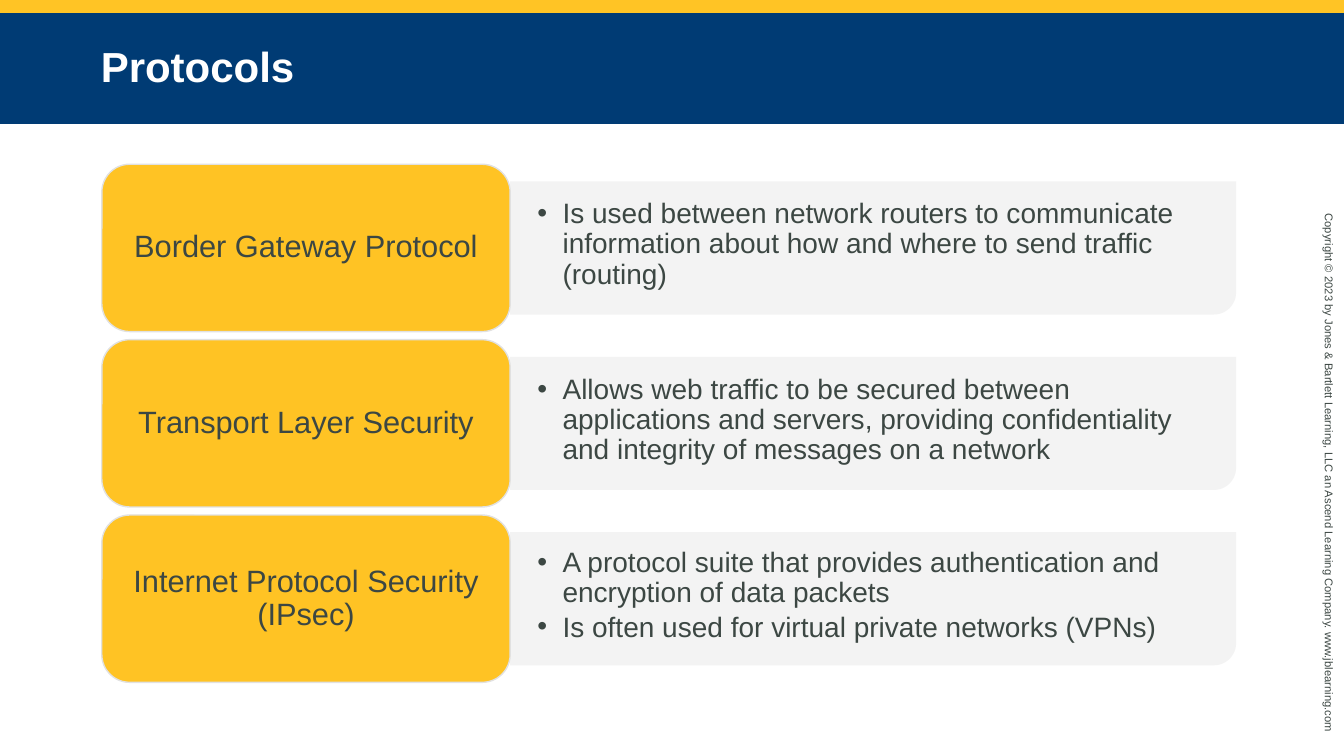
from lxml import etree
from pptx import Presentation
from pptx.dml.color import RGBColor
from pptx.enum.shapes import MSO_SHAPE
from pptx.enum.text import MSO_ANCHOR, PP_ALIGN
from pptx.oxml.ns import qn
from pptx.util import Pt

PX = 9144  # EMU per px, 100 px to the inch
RECT = MSO_SHAPE.RECTANGLE
ROUNDED = MSO_SHAPE.ROUNDED_RECTANGLE
ONE_ROUND = MSO_SHAPE.ROUND_1_RECTANGLE
MIDDLE, TOP = MSO_ANCHOR.MIDDLE, MSO_ANCHOR.TOP
LEFT, CENTER = PP_ALIGN.LEFT, PP_ALIGN.CENTER

GOLD, AMBER, NAVY = "FFC425", "FFC324", "003B74"
PANEL, EDGE, INK, WHITE = "F2F2F2", "E1E1E1", "3C4743", "FFFFFF"

FIRST_ROW, ROW_PITCH = 163, 174
PROTOCOLS = [
    ("Border Gateway Protocol",
     ["Is used between network routers to communicate information about "
      "how and where to send traffic (routing)"]),
    ("Transport Layer Security",
     ["Allows web traffic to be secured between applications and servers, "
      "providing confidentiality and integrity of messages on a network"]),
    ("Internet Protocol Security (IPsec)",
     ["A protocol suite that provides authentication and encryption of "
      "data packets",
      "Is often used for virtual private networks (VPNs)"]),
]


def px(n):
    return round(n * PX)


def rgb(color):
    return RGBColor.from_string(color)


def add_box(slide, kind, box, fill, line=None):
    sp = slide.shapes.add_shape(kind, *map(px, box))
    sp.shadow.inherit = False
    sp.fill.solid()
    sp.fill.fore_color.rgb = rgb(fill)
    if line:
        sp.line.color.rgb = rgb(line)
        sp.line.width = Pt(1)
    else:
        sp.line.fill.background()
    return sp


def add_bullet(p, indent):
    pPr = p._p.get_or_add_pPr()
    pPr.set("marL", str(px(indent)))
    pPr.set("indent", str(-px(indent)))
    etree.SubElement(pPr, qn("a:buFont"), typeface="Arial")
    etree.SubElement(pPr, qn("a:buChar"), char="•")


def write(sp, lines, size, color, insets=(10, 5), anchor=MIDDLE, align=LEFT,
          spacing=1.0, bold=False, bullets=False):
    """Fill a shape with paragraphs; insets are (horizontal, vertical)."""
    tf = sp.text_frame
    tf.word_wrap = True
    tf.vertical_anchor = anchor
    tf.margin_left = tf.margin_right = px(insets[0])
    tf.margin_top = tf.margin_bottom = px(insets[1])
    tf.text = "\n".join(lines)
    for p in tf.paragraphs:
        if bullets:
            add_bullet(p, 25)
            p.space_after = Pt(3)
        p.alignment = align
        p.line_spacing = spacing
        for r in p.runs:
            r.font.name = "Arial"
            r.font.size = Pt(size)
            r.font.bold = bold
            r.font.color.rgb = rgb(color)


def add_panel(slide, left, top, width, height):
    """Translucent panel, turned so that its bottom right corner is round."""
    shift = (width - height) // 2
    sp = add_box(slide, ONE_ROUND,
                 (left + shift, top - shift, height, width), PANEL)
    sp.rotation = 90
    color = sp._element.spPr.find(qn("a:solidFill"))[0]
    etree.SubElement(color, qn("a:alpha"), val="90000")


def add_protocol(slide, top, name, points):
    add_panel(slide, 506, top + 17, 720, 132)
    body = slide.shapes.add_textbox(*map(px, (506, top + 17, 720, 126)))
    write(body, points, 20, INK, (27, 14), spacing=0.9, bullets=True)
    label = add_box(slide, ROUNDED, (101, top, 405, 166), AMBER, EDGE)
    write(label, [name], 22, INK, (17, 13), align=CENTER, spacing=0.9)


def add_copyright(slide):
    sp = slide.shapes.add_textbox(*map(px, (1044, 464, 548, 24)))
    sp.rotation = 90
    write(sp, ["Copyright © 2023 by Jones & Bartlett Learning, LLC an Ascend "
               "Learning Company. www.jblearning.com"], 8, INK, anchor=TOP)


def main():
    prs = Presentation()
    prs.slide_width, prs.slide_height = px(1333), px(750)
    slide = prs.slides.add_slide(prs.slide_layouts[6])

    add_box(slide, RECT, (0, 0, 1333, 13), GOLD)
    add_copyright(slide)
    title = add_box(slide, RECT, (0, 13, 1333, 110), NAVY)
    write(title, ["Protocols"], 30, WHITE, (100, 5), spacing=0.95, bold=True)
    for i, (name, points) in enumerate(PROTOCOLS):
        add_protocol(slide, FIRST_ROW + i * ROW_PITCH, name, points)

    prs.save("out.pptx")


if __name__ == "__main__":
    main()
